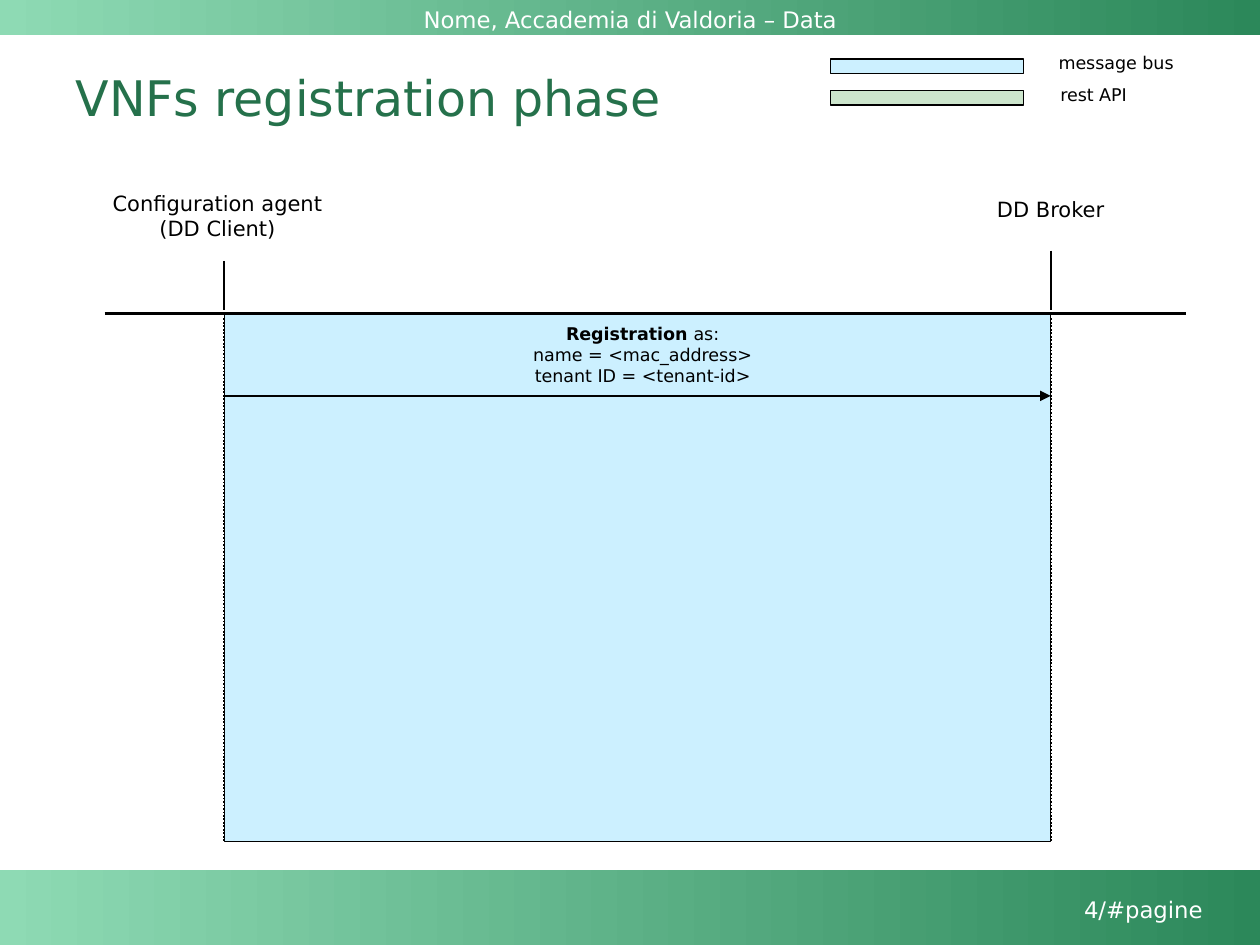
import dataclasses

import lxml.etree
import pptx
import pptx.dml.color
import pptx.enum.dml
import pptx.enum.shapes
import pptx.enum.text
import pptx.oxml.ns
import pptx.util

Cm = pptx.util.Cm
Pt = pptx.util.Pt
Align = pptx.enum.text.PP_ALIGN


@dataclasses.dataclass(frozen=True)
class Theme:
    font: str = "DejaVu Sans"
    light: str = "8EDAB4"
    dark: str = "2C885A"
    title: str = "25714B"
    ink: str = "000000"
    paper: str = "FFFFFF"
    bus: str = "00B8FF"
    rest: str = "008000"
    opacity: int = 20
    title_size: int = 28
    band_size: int = 13
    actor_size: int = 12
    note_size: int = 10


THEME = Theme()


def rgb(value):
    return pptx.dml.color.RGBColor.from_string(value)


def sub(parent, tag, **attrs):
    return lxml.etree.SubElement(parent, pptx.oxml.ns.qn(tag), **attrs)


def box(x, y, w, h):
    return Cm(x), Cm(y), Cm(w), Cm(h)


def style(p, size, color, align):
    p.alignment = align
    p.font.name = THEME.font
    p.font.size = Pt(size)
    p.font.color.rgb = rgb(color)


def add_rect(slide, bounds):
    sp = slide.shapes.add_shape(
        pptx.enum.shapes.MSO_SHAPE.RECTANGLE, *box(*bounds))
    sp.shadow.inherit = False
    return sp


def add_band(slide, y, h):
    sp = add_rect(slide, (0, y, 25.4, h))
    sp.line.fill.background()
    sp.fill.gradient()
    sp.fill.gradient_angle = 0
    for stop, color in zip(sp.fill.gradient_stops, (THEME.light, THEME.dark)):
        stop.color.rgb = rgb(color)
    first, last = sp.fill.gradient_stops
    first.position, last.position = 0, 1


def add_tinted(slide, bounds, color):
    sp = add_rect(slide, bounds)
    sp.fill.solid()
    sp.fill.fore_color.rgb = rgb(color)
    clr = sp.element.spPr.find(".//" + pptx.oxml.ns.qn("a:srgbClr"))
    sub(clr, "a:alpha", val=str(THEME.opacity * 1000))
    sp.line.color.rgb = rgb(THEME.ink)
    sp.line.width = Pt(0.75)


def add_text(slide, bounds, lines, size, color=THEME.ink, align=Align.CENTER,
             wrap=True):
    tf = slide.shapes.add_textbox(*box(*bounds)).text_frame
    tf.word_wrap = wrap
    tf.text = "\n".join(lines)
    for p in tf.paragraphs:
        style(p, size, color, align)
    return tf


def add_line(slide, start, end, width=1, dash=None, arrow=False):
    cxn = slide.shapes.add_connector(
        pptx.enum.shapes.MSO_CONNECTOR.STRAIGHT,
        *map(Cm, start), *map(Cm, end))
    cxn.line.color.rgb = rgb(THEME.ink)
    cxn.line.width = Pt(width)
    if dash:
        cxn.line.dash_style = dash
    if arrow:
        sub(cxn.line._get_or_add_ln(), "a:tailEnd", type="triangle")
    sub(cxn.element.spPr, "a:effectLst")


def set_title(slide, text):
    sp = slide.shapes.title
    sp.left, sp.top, sp.width, sp.height = box(1.27, 0.76, 22.86, 2.36)
    tf = sp.text_frame
    tf.text = text
    tf.vertical_anchor = pptx.enum.text.MSO_ANCHOR.MIDDLE
    tf.auto_size = pptx.enum.text.MSO_AUTO_SIZE.NONE
    p = tf.paragraphs[0]
    style(p, THEME.title_size, THEME.title, Align.LEFT)
    p.line_spacing = 1.02


def add_bands(slide):
    add_band(slide, 17.53, 1.52)
    add_band(slide, 0, 0.71)
    add_text(slide, (0, 0, 25.4, 0.74),
             ["Nome, Accademia di Valdoria \u2013 Data"],
             THEME.band_size, THEME.paper)
    add_text(slide, (20.5, 17.93, 3.99, 0.74), ["4/#pagine"],
             THEME.band_size, THEME.paper, Align.RIGHT)


def add_sequence(slide):
    client, broker = 4.52, 21.18
    axis, bottom, message = 6.32, 16.97, 7.98
    add_tinted(slide, (client, axis, broker - client, bottom - axis), THEME.bus)
    for x, top in ((client, 5.26), (broker, 5.05)):
        add_line(slide, (x, axis + 0.1), (x, bottom),
                 dash=pptx.enum.dml.MSO_LINE.ROUND_DOT)
        add_line(slide, (x, top), (x, axis - 0.07))
    tf = add_text(slide, (5.31, 6.38, 15.29, 1.96),
                  ["", "name = <mac_address>", "tenant ID = <tenant-id>"],
                  THEME.note_size)
    for text, bold in (("Registration ", True), ("as:", False)):
        r = tf.paragraphs[0].add_run()
        r.text = text
        r.font.bold = bold
    add_line(slide, (client, message), (broker, message), arrow=True)
    add_line(slide, (2.11, axis), (23.9, axis), width=2.25)
    add_text(slide, (2.01, 3.71, 4.75, 1.27),
             ["Configuration agent", "(DD Client)"],
             THEME.actor_size, wrap=False)
    add_text(slide, (19.81, 3.84, 2.74, 0.76), ["DD Broker"],
             THEME.actor_size, wrap=False)


def add_legend(slide):
    entries = (("message bus", THEME.bus, 2.84), ("rest API", THEME.rest, 1.93))
    for i, (text, color, width) in enumerate(entries):
        y = 1.19 + 0.63 * i
        add_tinted(slide, (16.74, y, 3.89, 0.3), color)
        add_text(slide, (21.08, y - 0.26, width, 0.69), [text],
                 THEME.note_size, wrap=False)


def main():
    prs = pptx.Presentation()
    prs.slide_width, prs.slide_height = Cm(25.4), Cm(19.05)
    slide = prs.slides.add_slide(prs.slide_layouts[5])
    add_bands(slide)
    set_title(slide, "VNFs registration phase")
    add_sequence(slide)
    add_legend(slide)
    prs.save("out.pptx")


main()
